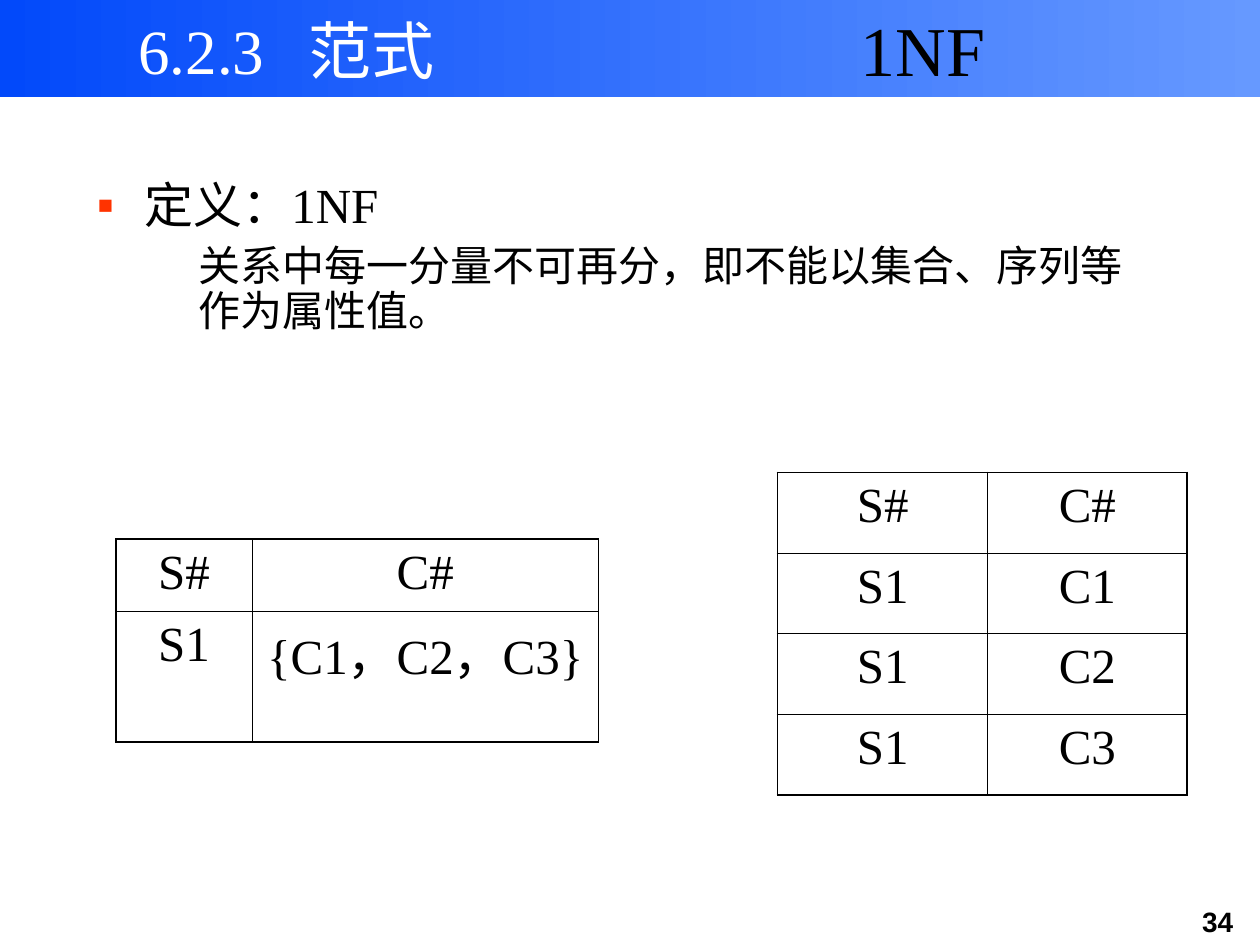
from dataclasses import dataclass

from lxml.etree import SubElement
from pptx import Presentation
from pptx.dml.color import RGBColor
from pptx.enum.shapes import MSO_SHAPE
from pptx.enum.text import MSO_ANCHOR, PP_ALIGN
from pptx.oxml.ns import qn
from pptx.util import Inches, Pt


@dataclass(frozen=True)
class Theme:
    serif: str = "Times New Roman"
    sans: str = "Arial"
    ink: str = "000000"
    white: str = "FFFFFF"
    bullet: str = "FF3300"
    band_start: str = "0249FA"
    band_end: str = "6699FF"
    title_size: int = 40
    section_size: int = 36
    main_size: int = 28
    detail_size: int = 24
    number_size: int = 16
    outer_line: float = 1.08
    inner_line: float = 0.45


THEME = Theme()


def add_run(paragraph, text, size, color=THEME.ink, font=THEME.serif, bold=False):
    run = paragraph.add_run()
    run.text = text
    run.font.name = font
    run.font.size = Pt(size)
    run.font.bold = bold
    run.font.color.rgb = RGBColor.from_string(color)


def add_text_box(slide, box, anchor=MSO_ANCHOR.TOP):
    """Add a wrapping text box and return its text frame."""
    frame = slide.shapes.add_textbox(*map(Inches, box)).text_frame
    frame.word_wrap = True
    frame.vertical_anchor = anchor
    return frame


def set_indent(paragraph, margin, first_line):
    properties = paragraph._p.get_or_add_pPr()
    properties.set("marL", str(Inches(margin)))
    properties.set("indent", str(Inches(first_line)))
    return properties


def add_square_bullet(properties):
    color = SubElement(properties, qn("a:buClr"))
    SubElement(color, qn("a:srgbClr"), val=THEME.bullet)
    SubElement(properties, qn("a:buFont"), typeface=THEME.sans)
    SubElement(properties, qn("a:buChar"), char="▪")


def add_header(slide, box):
    left, top, width, height = box
    band = slide.shapes.add_shape(MSO_SHAPE.RECTANGLE, *map(Inches, box))
    band.shadow.inherit = False
    band.line.fill.background()
    band.fill.gradient()
    band.fill.gradient_angle = 0
    for stop, color in zip(band.fill.gradient_stops, (THEME.band_start, THEME.band_end)):
        stop.color.rgb = RGBColor.from_string(color)

    title = add_text_box(slide, (left + 5.95, top, 2.75, height), MSO_ANCHOR.MIDDLE)
    title.paragraphs[0].alignment = PP_ALIGN.CENTER
    add_run(title.paragraphs[0], "1NF", THEME.title_size)

    section = add_text_box(slide, (left + 1, top + 0.1, 5.58, 0.58), MSO_ANCHOR.MIDDLE)
    paragraph = section.paragraphs[0]
    tabs = SubElement(paragraph._p.get_or_add_pPr(), qn("a:tabLst"))
    SubElement(tabs, qn("a:tab"), pos=str(Inches(1.35)), algn="l")
    add_run(paragraph, "6.2.3\t范式", THEME.section_size, THEME.white)


def add_definition(slide, box):
    frame = add_text_box(slide, box)
    term = frame.paragraphs[0]
    add_square_bullet(set_indent(term, 0.38, -0.38))
    term.line_spacing = 0.9
    add_run(term, "定义：1NF", THEME.main_size)

    meaning = frame.add_paragraph()
    meaning.level = 1
    set_indent(meaning, 0.81, 0)
    meaning.line_spacing = 0.9
    meaning.space_before = Pt(6)
    add_run(meaning, "关系中每一分量不可再分，即不能以集合、序列等作为属性值。", THEME.detail_size)


def set_borders(cell, outer_sides):
    """Draw all four borders, heavier on the sides at the table's edge."""
    properties = cell._tc.get_or_add_tcPr()
    for position, (side, is_outer) in enumerate(outer_sides.items()):
        width = THEME.outer_line if is_outer else THEME.inner_line
        line = SubElement(properties, qn(f"a:ln{side}"), w=str(Pt(width)))
        fill = SubElement(line, qn("a:solidFill"))
        SubElement(fill, qn("a:srgbClr"), val=THEME.ink)
        properties.insert(position, line)


def add_relation(slide, left, top, column_widths, row_heights, records):
    box = (left, top, sum(column_widths), sum(row_heights))
    table = slide.shapes.add_table(
        len(records), len(column_widths), *map(Inches, box)
    ).table
    table.first_row = table.horz_banding = False
    for column, width in zip(table.columns, column_widths):
        column.width = Inches(width)
    for row, height in zip(table.rows, row_heights):
        row.height = Inches(height)

    last_row, last_column = len(records) - 1, len(column_widths) - 1
    for row_index, record in enumerate(records):
        for column_index, text in enumerate(record):
            cell = table.cell(row_index, column_index)
            cell.fill.background()
            set_borders(cell, {
                "L": column_index == 0,
                "R": column_index == last_column,
                "T": row_index == 0,
                "B": row_index == last_row,
            })
            paragraph = cell.text_frame.paragraphs[0]
            paragraph.alignment = PP_ALIGN.CENTER
            add_run(paragraph, text, THEME.main_size)


def add_slide_number(slide, box):
    paragraph = add_text_box(slide, box).paragraphs[0]
    paragraph.alignment = PP_ALIGN.CENTER
    add_run(paragraph, "34", THEME.number_size, font=THEME.sans, bold=True)


def main():
    presentation = Presentation()
    presentation.slide_width = Inches(10)
    presentation.slide_height = Inches(7.5)
    slide = presentation.slides.add_slide(presentation.slide_layouts[6])

    add_header(slide, (0, 0, 10, 0.77))
    add_definition(slide, (0.67, 1.39, 8.5, 1.44))
    heading = ("S#", "C#")
    add_relation(slide, 0.92, 4.28, (1.08, 2.75), (0.57, 1.04),
                 [heading, ("S1", "{C1，C2，C3}")])
    add_relation(slide, 6.17, 3.75, (1.67, 1.58), (0.64,) * 4,
                 [heading] + [("S1", course) for course in ("C1", "C2", "C3")])
    add_slide_number(slide, (9.33, 7.13, 0.67, 0.37))

    presentation.save("out.pptx")


if __name__ == "__main__":
    main()
